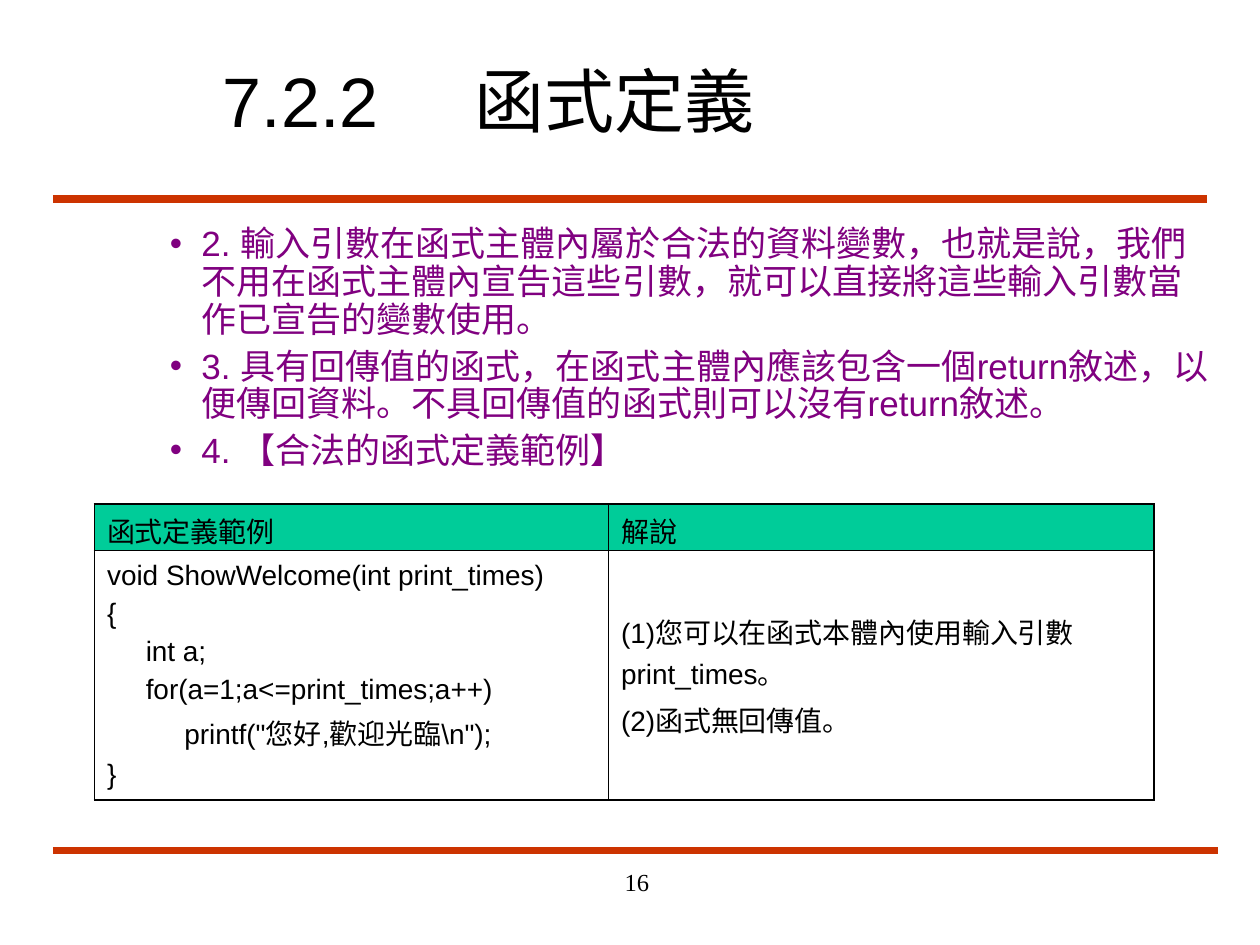
from lxml.etree import SubElement
from pptx import Presentation
from pptx.dml.color import RGBColor
from pptx.enum.shapes import MSO_CONNECTOR as Connector
from pptx.enum.text import MSO_ANCHOR as Anchor, PP_ALIGN as Align
from pptx.oxml import parse_xml
from pptx.oxml.ns import nsdecls, qn
from pptx.util import Inches, Pt

BLACK, PURPLE, RED, GREEN = "000000", "800080", "CC3300", "00CC99"
THICK, THIN = 1.08, 0.45

POINTS = [
    "2. 輸入引數在函式主體內屬於合法的資料變數，也就是說，我們不用在函式主體內宣告這些引數，就可以直接將這些輸入引數當作已宣告的變數使用。",
    "3. 具有回傳值的函式，在函式主體內應該包含一個return敘述，以便傳回資料。不具回傳值的函式則可以沒有return敘述。",
    "4. 【合法的函式定義範例】",
]
CODE = [
    "void ShowWelcome(int print_times)",
    "{",
    "     int a;",
    "     for(a=1;a<=print_times;a++)",
    '          printf("您好,歡迎光臨\\n");',
    "}",
]
NOTES = ["(1)您可以在函式本體內使用輸入引數print_times。", "(2)函式無回傳值。"]
ROWS = [[["函式定義範例"], ["解說"]], [CODE, NOTES]]


def color(value):
    return RGBColor.from_string(value)


class SlideBuilder:
    def __init__(self, page, font="Arial"):
        self.page = page
        self.font = font

    def fill_text(self, frame, lines, size, ink=BLACK, font=None, gap=0, prepare=None):
        """Fill a text frame with one paragraph per line; prepare adds XML to each."""
        frame.word_wrap = True
        for index, line in enumerate(lines):
            para = frame.paragraphs[0] if index == 0 else frame.add_paragraph()
            para.text = line
            if prepare:
                prepare(para)
            para.space_before = Pt(gap if index else 0)
            para.font.size = Pt(size)
            para.font.name = font or self.font
            para.font.color.rgb = color(ink)

    def text(self, left, top, width, height, lines, size, **style):
        box = self.page.shapes.add_textbox(
            Inches(left), Inches(top), Inches(width), Inches(height))
        self.fill_text(box.text_frame, lines, size, **style)
        return box.text_frame

    def rule(self, left, right, y):
        line = self.page.shapes.add_connector(
            Connector.STRAIGHT, Inches(left), Inches(y), Inches(right), Inches(y))
        line.line.color.rgb = color(RED)
        line.line.width = Pt(4.5)
        SubElement(line._element.spPr, qn("a:effectLst"))

    def table(self, left, top, widths, heights, rows):
        table = self.page.shapes.add_table(
            len(heights), len(widths), Inches(left), Inches(top),
            Inches(sum(widths)), Inches(sum(heights))).table
        table.first_row = table.horz_banding = False
        for column, width in zip(table.columns, widths):
            column.width = Inches(width)
        for row, height in zip(table.rows, heights):
            row.height = Inches(height)
        last_row, last_column = len(heights) - 1, len(widths) - 1
        for r, row in enumerate(rows):
            for c, lines in enumerate(row):
                cell = table.cell(r, c)
                cell.vertical_anchor = Anchor.MIDDLE
                self.fill_text(cell.text_frame, lines, 16, gap=4)
                self.borders(cell, L=c == 0, R=c == last_column,
                             T=r == 0, B=r == last_row)
                if r == 0:
                    cell.fill.solid()
                    cell.fill.fore_color.rgb = color(GREEN)
                else:
                    cell.fill.background()

    def borders(self, cell, **outer):
        """Draw the cell's sides, thick where the side is on the table's edge."""
        properties = cell._tc.get_or_add_tcPr()
        for index, (side, is_outer) in enumerate(outer.items()):
            width = Pt(THICK if is_outer else THIN)
            properties.insert(index, parse_xml(
                f'<a:ln{side} {nsdecls("a")} w="{width}"><a:solidFill>'
                f'<a:srgbClr val="{BLACK}"/></a:solidFill></a:ln{side}>'))


def add_bullet(para):
    properties = para._p.get_or_add_pPr()
    properties.set("marL", str(Inches(1.25)))
    properties.set("indent", str(Inches(-0.25)))
    bullet_color = SubElement(properties, qn("a:buClr"))
    SubElement(bullet_color, qn("a:srgbClr"), val=PURPLE)
    SubElement(properties, qn("a:buFont"), typeface="Arial")
    SubElement(properties, qn("a:buChar"), char="•")
    para.line_spacing = 0.9


def add_tab(para):
    tabs = SubElement(para._p.get_or_add_pPr(), qn("a:tabLst"))
    SubElement(tabs, qn("a:tab"), pos=str(Inches(2)), algn="l")


def main():
    deck = Presentation()
    deck.slide_width, deck.slide_height = Inches(10), Inches(7.5)
    slide = SlideBuilder(deck.slides.add_slide(deck.slide_layouts[6]))

    slide.rule(0.42, 9.58, 1.58)
    slide.rule(0.42, 9.67, 6.75)
    title = slide.text(1.67, 0.33, 7.58, 0.92, ["7.2.2\t函式定義"], 40, prepare=add_tab)
    title.vertical_anchor = Anchor.MIDDLE
    slide.text(0.25, 1.75, 9.5, 2.17, POINTS, 20, ink=PURPLE, gap=5, prepare=add_bullet)
    slide.table(0.75, 4, [4.08, 4.33], [0.37, 1.98], ROWS)
    number = slide.text(3.17, 6.83, 2.08, 0.5, ["16"], 14, font="Times New Roman")
    number.paragraphs[0].alignment = Align.RIGHT

    deck.save("out.pptx")


if __name__ == "__main__":
    main()
